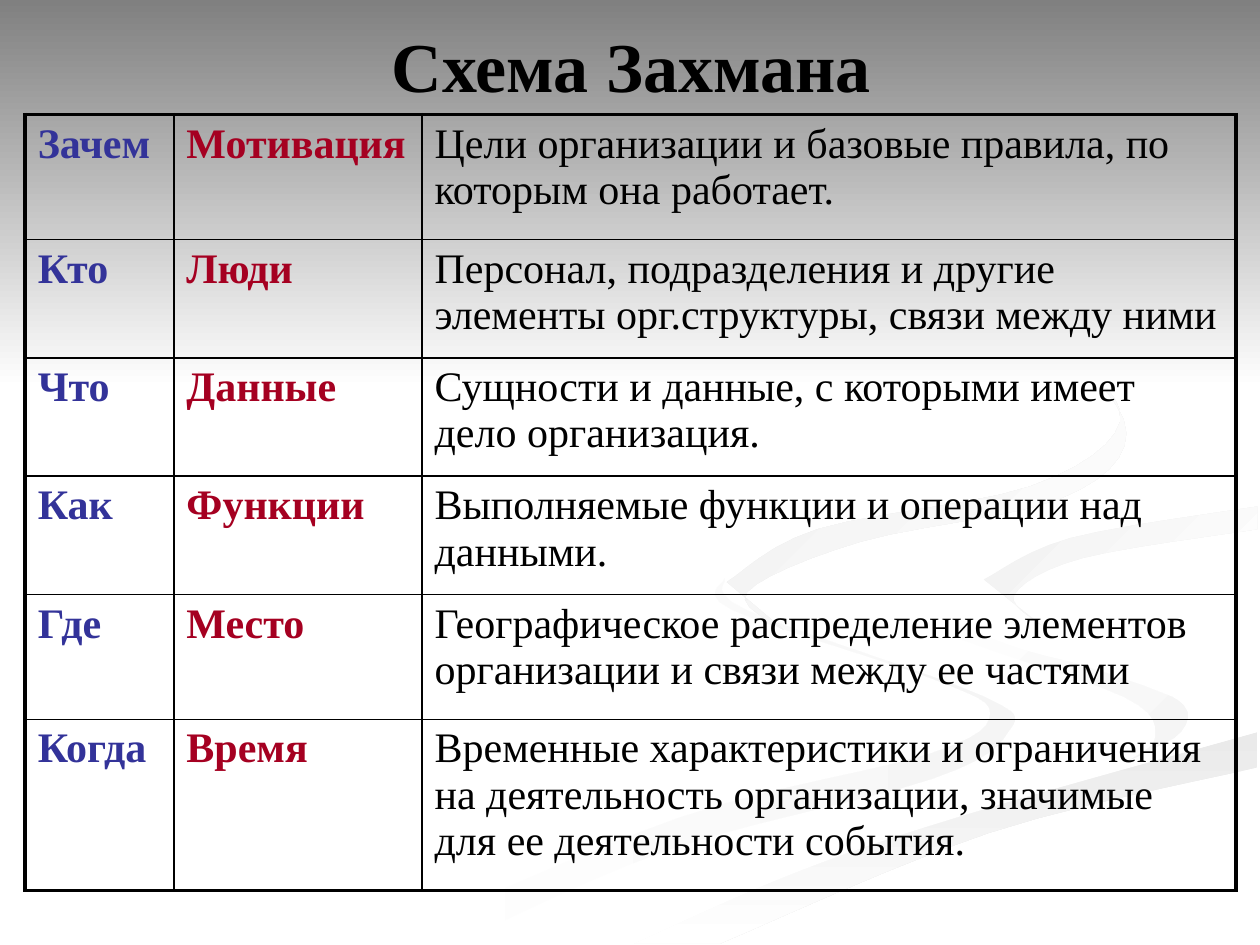
from lxml.etree import SubElement
from pptx import Presentation
from pptx.dml.color import RGBColor
from pptx.enum.text import MSO_ANCHOR, PP_ALIGN
from pptx.oxml.ns import qn
from pptx.util import Inches, Pt

# Content
TITLE = "Схема Захмана"
ROWS = [
    ("Зачем", "Мотивация", "Цели организации и базовые правила, по которым она работает."),
    ("Кто", "Люди", "Персонал, подразделения и другие элементы орг.структуры, связи между ними"),
    ("Что", "Данные", "Сущности и данные, с которыми имеет дело организация."),
    ("Как", "Функции", "Выполняемые функции и операции над данными."),
    ("Где", "Место", "Географическое распределение элементов организации и связи между ее частями"),
    ("Когда", "Время", "Временные характеристики и ограничения на деятельность организации, "
                       "значимые для ее деятельности события."),
]
COL_WIDTHS = [1.18, 1.97, 6.46]
ROW_HEIGHTS = [0.99, 0.94, 0.94, 0.94, 0.99, 1.36]

THEME = {
    "font": "Times New Roman",
    "title_size": 40,
    "cell_size": 24,
    "text": "000000",
    "columns": [("333399", True), ("A50021", True), ("000000", False)],
    "border": "000000",
    "outer": 2.25,
    "inner": 1,
    "pale": ("FFFFFF", "F5F5F5"),
    "shade": ("EAEAEA", "FFFFFF"),
    "white": ("FFFFFF", "FFFFFF"),
    "fold": ("F1F1F1", "FFFFFF"),
    "curl": ("EDEDED", "FFFFFF"),
    "band": ("808080", "FFFFFF"),
}

# Ribbon edges shared by neighbours
SHADE_TOP = [(5.03, 7.49), (6.3, 6.93), (7.65, 6.47), (9.98, 5.81)]
FOLD_EDGE = [(7.81, 4.6), (8.5, 4.27), (9.98, 4.02)]

# Ribbons back to front: colours, clockwise angle, edges smoothed one by one
RIBBONS = [
    ("pale", 0, [
        [(5.75, 4.59), (5.81, 4.84), (7.41, 5.39), (7.86, 5.66), (7.39, 5.98), (5.39, 6.49), (3, 7.49)],
        [(3.61, 7.49), (5.32, 6.74), (7.4, 6.18), (8, 5.81), (7.81, 5.53), (5.94, 4.85), (5.75, 4.59)]]),
    ("pale", 45, [
        [(7.24, 4.64), (7.46, 5), (8.92, 5.53), (9.17, 5.85), (8.94, 6.05)],
        [(9.41, 5.81), (9.3, 5.53), (7.45, 4.9), (7.24, 4.64)]]),
    ("shade", 90, [SHADE_TOP, [(9.98, 6.09), (7.85, 6.61), (5.71, 7.49)]]),
    ("white", 0, [
        [(9.98, 3.87), (8.3, 4.15), (7.25, 4.64), (7.93, 5.09), (9.05, 5.4), (9.43, 5.7),
         (8.92, 6.05), (7.04, 6.55), (4.77, 7.49)],
        SHADE_TOP,
        [(9.98, 5.38), (8.66, 5.09), *FOLD_EDGE]]),
    ("fold", 45, [FOLD_EDGE, [(9.98, 4.2), (8.59, 4.43), (8.05, 4.72), (8.26, 4.96)]]),
    ("curl", 45, [
        [(7.62, 2.33), (8.43, 2.75), (8.94, 3.44), (8.41, 3.96), (6.83, 4.3), (5.93, 4.7), (6.22, 5)],
        [(5.77, 4.62), (6.49, 4.2), (8.18, 3.86), (8.89, 3.35), (8.46, 2.79), (7.62, 2.33)]]),
]


def smooth(edge, steps=6):
    """Points of a Catmull-Rom curve through an open edge."""
    ends = [edge[0], *edge, edge[-1]]
    curve = []
    for a, b, c, d in zip(ends, ends[1:], ends[2:], ends[3:]):
        for t in (k / steps for k in range(steps)):
            curve.append(tuple(
                q + t * (r - p) / 2 + t**2 * (2 * p - 5 * q + 4 * r - s) / 2
                + t**3 * (3 * q - p - 3 * r + s) / 2
                for p, q, r, s in zip(a, b, c, d)))
    return curve + [edge[-1]]


def add_outline(shapes, colors, angle, points):
    pts = [(Inches(x), Inches(y)) for x, y in points]
    builder = shapes.build_freeform(*pts[0], scale=1.0)
    builder.add_line_segments(pts[1:], close=True)
    sp = builder.convert_to_shape()
    sp.shadow.inherit = False
    sp.line.fill.background()
    if colors[0] == colors[1]:
        sp.fill.solid()
        sp.fill.fore_color.rgb = RGBColor.from_string(colors[0])
        return
    sp.fill.gradient()
    sp.fill.gradient_angle = -angle % 360
    for stop, color in zip(sp.fill.gradient_stops, colors):
        stop.color.rgb = RGBColor.from_string(color)


def style_text(p, size, color, bold):
    for r in p.runs:
        r.font.name = THEME["font"]
        r.font.size = Pt(size)
        r.font.bold = bold
        r.font.color.rgb = RGBColor.from_string(color)


def set_borders(cell, outer_sides):
    tc_pr = cell._tc.get_or_add_tcPr()
    for side, is_outer in zip("LRTB", outer_sides):
        width = THEME["outer"] if is_outer else THEME["inner"]
        ln = SubElement(tc_pr, qn(f"a:ln{side}"), w=str(Pt(width)))
        fill = SubElement(ln, qn("a:solidFill"))
        SubElement(fill, qn("a:srgbClr"), val=THEME["border"])


def add_title(shapes):
    sp = shapes.add_textbox(Inches(0.51), Inches(0.13), Inches(9), Inches(0.77))
    tf = sp.text_frame
    tf.word_wrap = True
    tf.vertical_anchor = MSO_ANCHOR.MIDDLE
    tf.text = TITLE
    p = tf.paragraphs[0]
    p.alignment = PP_ALIGN.CENTER
    style_text(p, THEME["title_size"], THEME["text"], True)


def add_scheme_table(shapes):
    last_row, last_col = len(ROWS) - 1, len(COL_WIDTHS) - 1
    table = shapes.add_table(len(ROWS), len(COL_WIDTHS), Inches(0.2), Inches(0.91),
                             Inches(sum(COL_WIDTHS)), Inches(sum(ROW_HEIGHTS))).table
    table.first_row = table.horz_banding = False
    for column, width in zip(table.columns, COL_WIDTHS):
        column.width = Inches(width)
    for i, (row, height) in enumerate(zip(ROWS, ROW_HEIGHTS)):
        table.rows[i].height = Inches(height)
        for j, (text, (color, bold)) in enumerate(zip(row, THEME["columns"])):
            cell = table.cell(i, j)
            set_borders(cell, (j == 0, j == last_col, i == 0, i == last_row))
            cell.fill.background()
            cell.text_frame.text = text
            p = cell.text_frame.paragraphs[0]
            p.space_before = Pt(0.2 * THEME["cell_size"])
            style_text(p, THEME["cell_size"], color, bold)


def main():
    prs = Presentation()
    prs.slide_width, prs.slide_height = Inches(10), Inches(7.5)
    s = prs.slides.add_slide(prs.slide_layouts[6])
    # Background ribbons and top band
    for colors, angle, edges in RIBBONS:
        points = [point for edge in edges for point in smooth(edge)]
        add_outline(s.shapes, THEME[colors], angle, points)
    add_outline(s.shapes, THEME["band"], 90, [(0, 0), (0, 3.08), (10, 3.08), (10, 0)])
    # Title and table
    add_title(s.shapes)
    add_scheme_table(s.shapes)
    prs.save("out.pptx")


if __name__ == "__main__":
    main()
